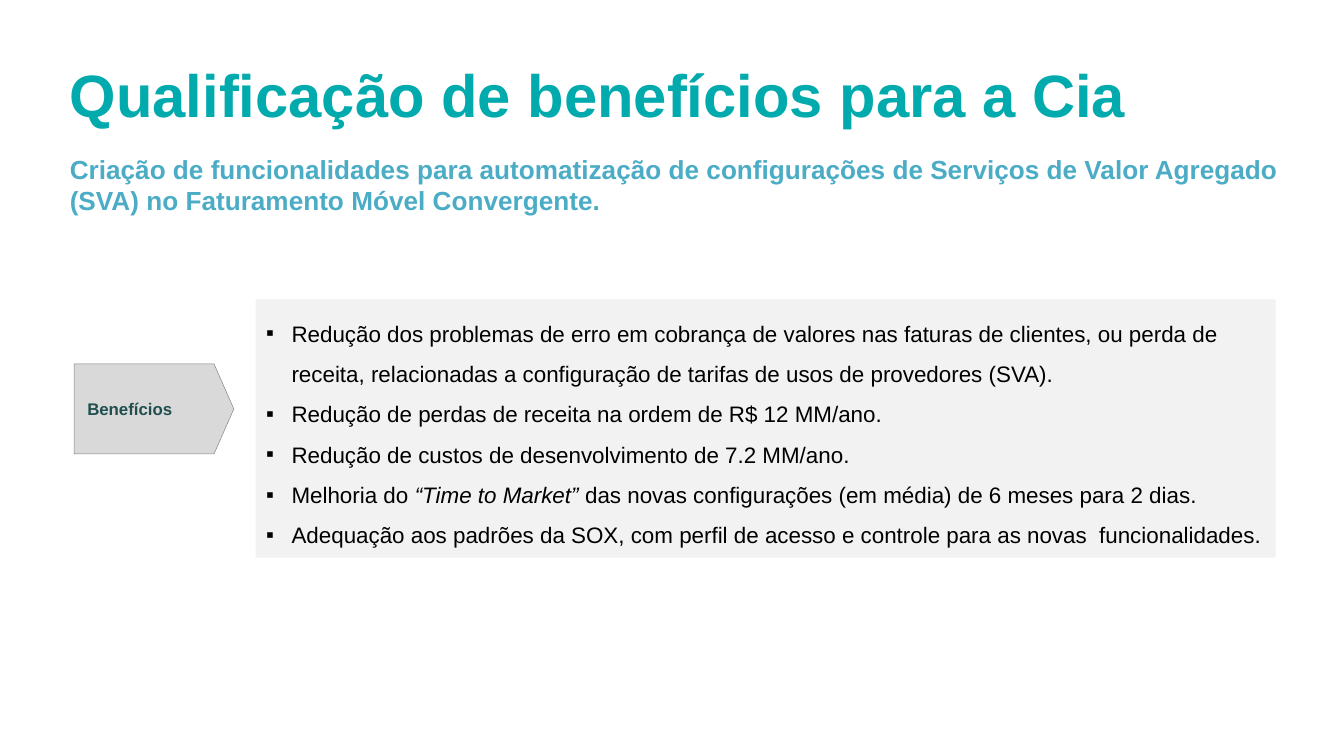
"""Build the slide on the benefits of automating SVA configurations."""
from lxml.etree import SubElement
from pptx import Presentation
from pptx.dml.color import RGBColor
from pptx.enum.shapes import MSO_SHAPE
from pptx.enum.text import MSO_ANCHOR, MSO_AUTO_SIZE, PP_ALIGN
from pptx.oxml.ns import qn
from pptx.util import Cm, Pt

COLORS = {
    "title": "00AAAD",
    "subtitle": "4BACC6",
    "label": "214F50",
    "text": "000000",
    "arrow": "D9D9D9",
    "outline": "808080",
    "panel": "F2F2F2",
}
BENEFITS = [
    ["Redução dos problemas de erro em cobrança de valores nas faturas de clientes, ou perda de "
     "receita, relacionadas a configuração de tarifas de usos de provedores (SVA)."],
    ["Redução de perdas de receita na ordem de R$ 12 MM/ano."],
    ["Redução de custos de desenvolvimento de 7.2 MM/ano."],
    ["Melhoria do ", "“Time to Market”", " das novas configurações (em média) de 6 meses para 2 dias."],
    ["Adequação aos padrões da SOX, com perfil de acesso e controle para as novas  funcionalidades."],
]


def color(name):
    return RGBColor.from_string(COLORS[name])


def write(paragraph, text, size, tint, bold=False, italic=False):
    paragraph.alignment = PP_ALIGN.LEFT
    run = paragraph.add_run()
    run.text = text
    run.font.name = "Arial"
    run.font.size = Pt(size)
    run.font.bold = bold
    run.font.italic = italic
    run.font.color.rgb = color(tint)


prs = Presentation()
prs.slide_width, prs.slide_height = Cm(25.4), Cm(14.29)
slide = prs.slides.add_slide(prs.slide_layouts[1])
title, benefits = slide.placeholders

title.left, title.top, title.width, title.height = Cm(1.32), Cm(0.48), Cm(24.38), Cm(2.03)
subtitle = slide.shapes.add_textbox(Cm(1.32), Cm(2.9), Cm(23.62), Cm(1.19))
for heading in (title, subtitle):
    frame = heading.text_frame
    frame.margin_left = frame.margin_top = frame.margin_right = frame.margin_bottom = 0
    frame.vertical_anchor = MSO_ANCHOR.TOP
    frame.auto_size = MSO_AUTO_SIZE.NONE
    frame.word_wrap = True

title_line = title.text_frame.paragraphs[0]
title_line.line_spacing = Pt(56)
write(title_line, "Qualificação de benefícios para a Cia", size=32, tint="title", bold=True)
write(
    subtitle.text_frame.paragraphs[0],
    "Criação de funcionalidades para automatização de configurações de Serviços de Valor Agregado "
    "(SVA) no Faturamento Móvel Convergente.",
    size=14, tint="subtitle", bold=True,
)

arrow = slide.shapes.add_shape(MSO_SHAPE.PENTAGON, Cm(1.4), Cm(6.88), Cm(3.02), Cm(1.7))
arrow.adjustments[0] = 0.22
arrow.shadow.inherit = False
arrow.fill.solid()
arrow.fill.fore_color.rgb = color("arrow")
arrow.line.color.rgb = color("outline")
arrow.line.width = Pt(0.25)
arrow.text_frame.vertical_anchor = MSO_ANCHOR.MIDDLE
write(arrow.text_frame.paragraphs[0], "Benefícios", size=9, tint="label", bold=True)

benefits.left, benefits.top, benefits.width, benefits.height = Cm(4.83), Cm(5.66), Cm(19.28), Cm(4.88)
benefits.fill.solid()
benefits.fill.fore_color.rgb = color("panel")
panel = benefits.text_frame
panel.auto_size = MSO_AUTO_SIZE.NONE
panel.word_wrap = True
panel.margin_left = panel.margin_right = Cm(0.2)
panel.margin_top = panel.margin_bottom = Cm(0.13)

for index, parts in enumerate(BENEFITS):
    item = panel.add_paragraph() if index else panel.paragraphs[0]
    properties = item._p.get_or_add_pPr()
    properties.set("marL", str(Cm(0.48)))
    properties.set("indent", str(-Cm(0.48)))
    SubElement(properties, qn("a:buChar"), char="▪")
    item.line_spacing = 1.5
    item.space_before = Pt(0)
    for part in parts:
        write(item, part, size=12, tint="text", italic=part.startswith("“"))

prs.save("out.pptx")
